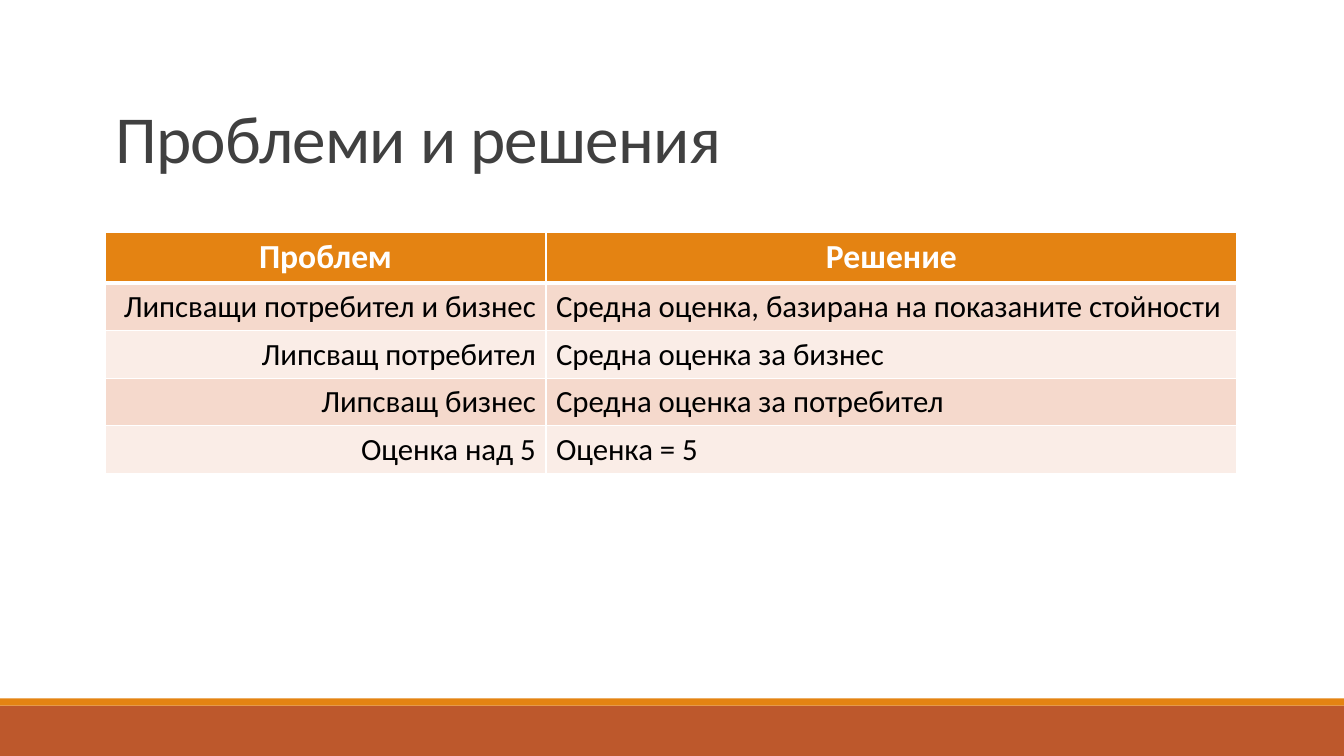
import dataclasses

import pptx
import pptx.dml.color
import pptx.enum.shapes
import pptx.enum.text
import pptx.oxml
import pptx.oxml.ns
import pptx.util

PX = 9525  # EMU per px, 96 px to the inch
ALIGN = pptx.enum.text.PP_ALIGN
TITLE = "Проблеми и решения"
HEADERS = ("Проблем", "Решение")
PROBLEMS = (
    ("Липсващи потребител и бизнес", "Средна оценка, базирана на показаните стойности"),
    ("Липсващ потребител", "Средна оценка за бизнес"),
    ("Липсващ бизнес", "Средна оценка за потребител"),
    ("Оценка над 5", "Оценка = 5"),
)
COLUMN_WIDTHS = (420, 658)
HEADER_HEIGHT, ROW_HEIGHT = 47, 45


@dataclasses.dataclass(frozen=True)
class Theme:
    font: str = "Calibri"
    title_color: str = "404040"
    header_color: str = "FFFFFF"
    body_color: str = "000000"
    border: str = "FFFFFF"
    accent: str = "E48312"
    footer: str = "BD582C"
    bands: tuple = ("F5D9CC", "FAEDE7")
    title_size: int = 48
    header_size: int = 24
    body_size: int = 22


THEME = Theme()


def rgb(color):
    return pptx.dml.color.RGBColor.from_string(color)


def px(*lengths):
    return [pptx.util.Emu(length * PX) for length in lengths]


def paint(target, color):
    target.fill.solid()
    target.fill.fore_color.rgb = rgb(color)


def write(frame, text, color, align, **font_values):
    para = frame.paragraphs[0]
    para.alignment = align
    span = para.add_run()
    span.text = text
    span.font.color.rgb = rgb(color)
    for name, value in {"name": THEME.font, **font_values}.items():
        setattr(span.font, name, value)
    return para, span


def add_band(page, top, height, color):
    """Draw a strip across the full slide width."""
    band = page.shapes.add_shape(
        pptx.enum.shapes.MSO_SHAPE.RECTANGLE, *px(0, top, 1280, height))
    band.shadow.inherit = False
    band.line.fill.background()
    paint(band, color)


def set_title(page):
    title = page.shapes.title
    title.left, title.top, title.width, title.height = px(100, 99, 1056, 96)
    frame = title.text_frame
    frame.word_wrap = True
    frame.auto_size = pptx.enum.text.MSO_AUTO_SIZE.NONE
    frame.vertical_anchor = pptx.enum.text.MSO_ANCHOR.TOP
    para, span = write(frame, TITLE, THEME.title_color, ALIGN.LEFT,
                       size=pptx.util.Pt(THEME.title_size))
    para.line_spacing = 0.85
    span.font._element.set("spc", "-50")


def set_borders(cell, **points):
    """Add cell edges, keyed L, R, T and B, ahead of the cell fill."""
    properties = cell._tc.get_or_add_tcPr()
    for position, side in enumerate("LRTB"):
        edge = pptx.oxml.parse_xml(
            f'<a:ln{side} {pptx.oxml.ns.nsdecls("a")} w="{pptx.util.Pt(points.get(side, 1))}">'
            f'<a:solidFill><a:srgbClr val="{THEME.border}"/></a:solidFill></a:ln{side}>')
        properties.insert(position, edge)


def fill_cell(cell, text, fill, color, align, size, bold, **borders):
    paint(cell, fill)
    set_borders(cell, **borders)
    write(cell.text_frame, text, color, align, size=pptx.util.Pt(size), bold=bold)


def add_problem_table(page):
    row_heights = [HEADER_HEIGHT] + [ROW_HEIGHT] * len(PROBLEMS)
    table = page.shapes.add_table(
        len(row_heights), len(HEADERS),
        *px(100, 221, sum(COLUMN_WIDTHS), sum(row_heights))).table
    for column, width in zip(table.columns, px(*COLUMN_WIDTHS)):
        column.width = width
    for row, height in zip(table.rows, px(*row_heights)):
        row.height = height
    for column, header in enumerate(HEADERS):
        fill_cell(table.cell(0, column), header, THEME.accent, THEME.header_color,
                  ALIGN.CENTER, THEME.header_size, True, B=3)
    for row, texts in enumerate(PROBLEMS, start=1):
        band = THEME.bands[(row - 1) % len(THEME.bands)]
        top = 3 if row == 1 else 1
        for column, (text, align) in enumerate(zip(texts, (ALIGN.RIGHT, ALIGN.LEFT))):
            fill_cell(table.cell(row, column), text, band, THEME.body_color,
                      align, THEME.body_size, False, T=top)


def main():
    deck = pptx.Presentation()
    deck.slide_width, deck.slide_height = px(1280, 720)
    page = deck.slides.add_slide(deck.slide_layouts.get_by_name("Title Only"))
    add_band(page, 672, 48, THEME.footer)
    add_band(page, 665, 7, THEME.accent)
    add_problem_table(page)
    set_title(page)
    deck.save("out.pptx")


if __name__ == "__main__":
    main()
